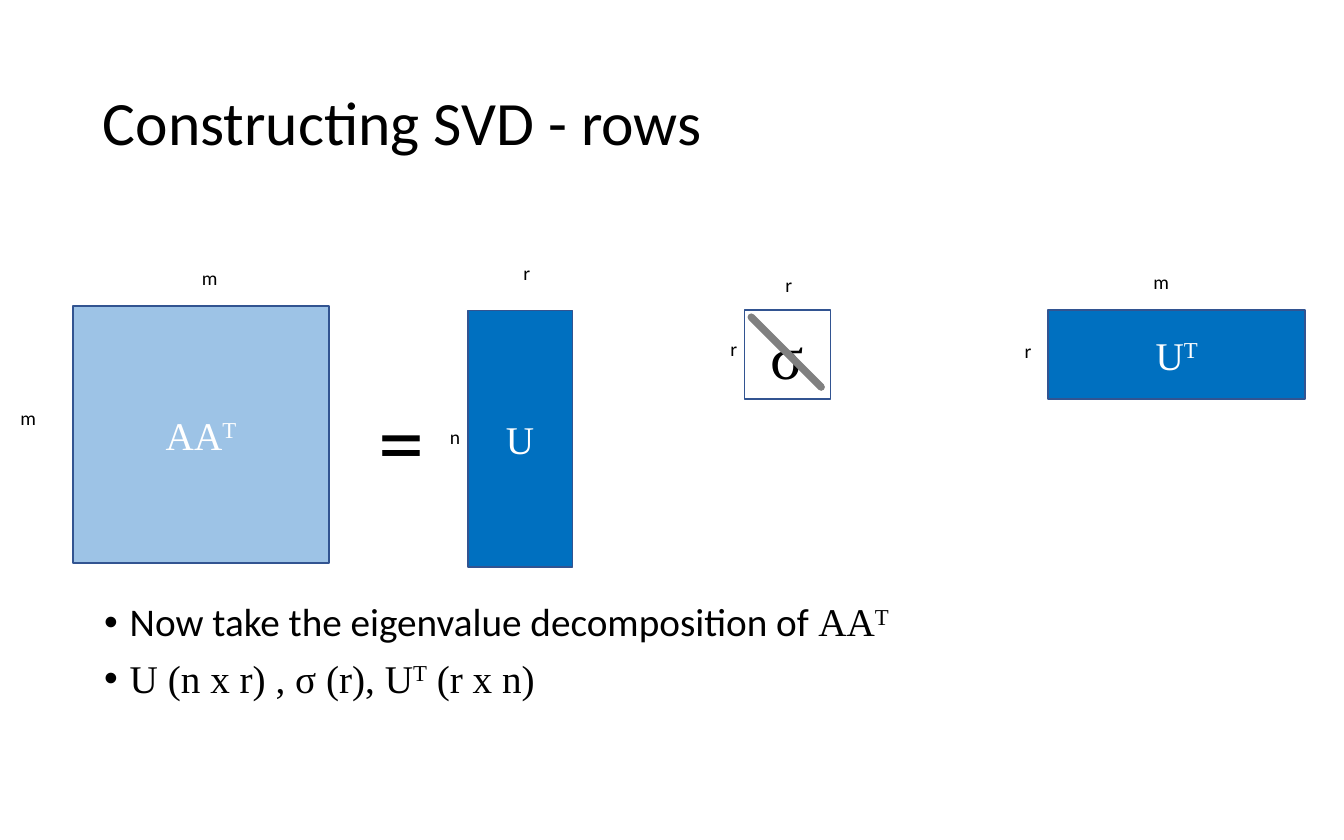
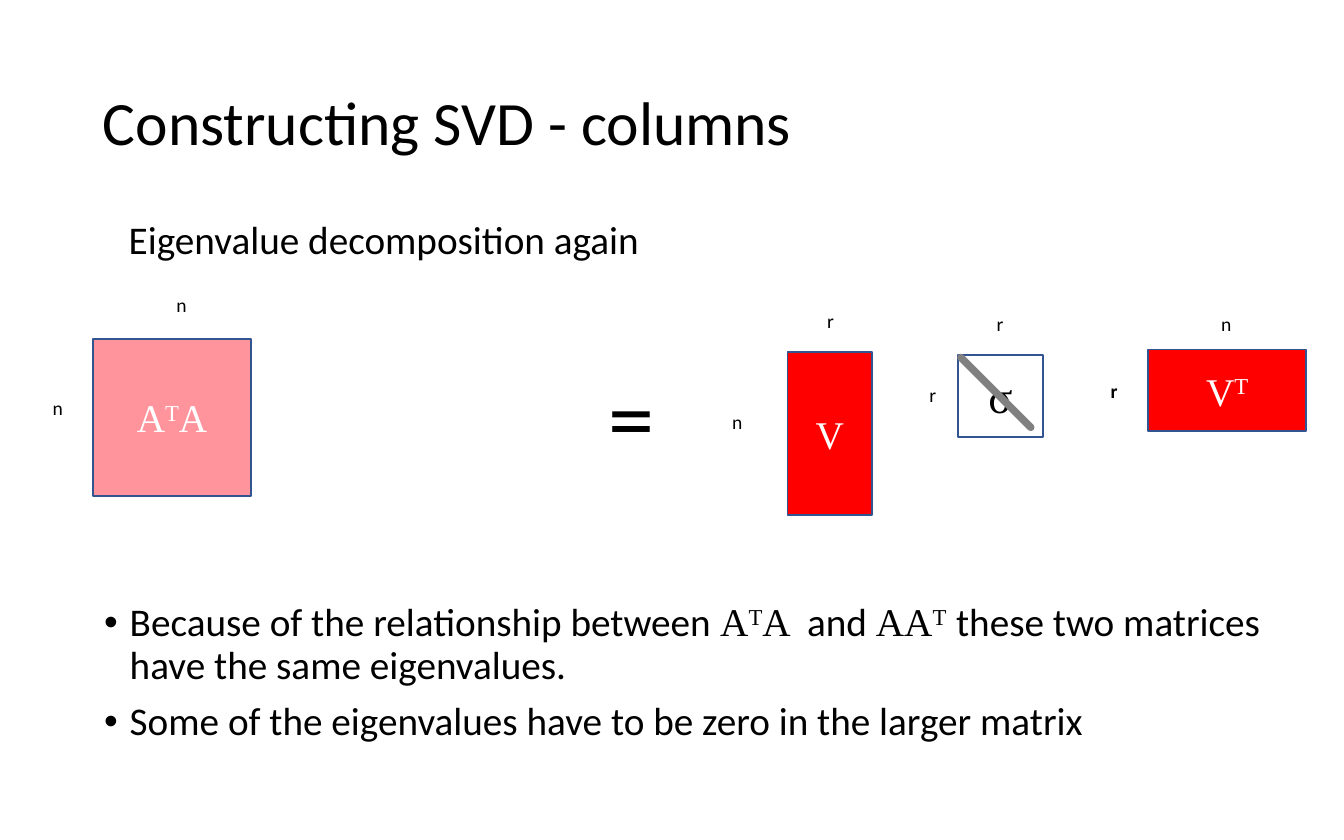
import pptx
import pptx.dml.color
import pptx.enum.shapes
import pptx.enum.text
import pptx.oxml
import pptx.oxml.ns
import pptx.util
from pptx.util import Inches

RGBColor = pptx.dml.color.RGBColor
BLACK = RGBColor(0x00, 0x00, 0x00)
WHITE = RGBColor(0xFF, 0xFF, 0xFF)
OUTLINE = RGBColor(0x32, 0x54, 0x91)
GRAY = RGBColor(0x80, 0x80, 0x80)
BLUE = RGBColor(0x00, 0x70, 0xC0)
LIGHT_BLUE = RGBColor(0x9D, 0xC3, 0xE6)
RED = RGBColor(0xFF, 0x00, 0x00)
PINK = RGBColor(0xFF, 0x94, 0x9C)
SANS = "Calibri"
SERIF = "Times New Roman"
ALIGN = pptx.enum.text.PP_ALIGN
ANCHOR = pptx.enum.text.MSO_ANCHOR


def add_span(para, text, font, size, color, bold, raised=False):
    """Append one formatted run, raised when it is a superscript."""
    if not text:
        return
    span = para.add_run()
    span.text = text
    span.font.name = font
    span.font.size = pptx.util.Pt(size)
    span.font.color.rgb = color
    span.font.bold = bold
    if raised:
        span.font._element.set("baseline", "30000")


def write(para, text, font=SANS, size=21, color=BLACK, bold=False, align=ALIGN.LEFT):
    """Write text where | switches to serif and back and ^ raises the next letter."""
    para.alignment = align
    for index, part in enumerate(text.split("|")):
        face = SERIF if index % 2 else font
        first, *raised_parts = part.split("^")
        add_span(para, first, face, size, color, bold)
        for raised in raised_parts:
            add_span(para, raised[0], face, size, color, bold, raised=True)
            add_span(para, raised[1:], face, size, color, bold)


def add_frame(page, left, top, width, height, inset=0.1, wrap=True):
    """Add an empty text box and return its text frame."""
    box = page.shapes.add_textbox(Inches(left), Inches(top), Inches(width), Inches(height))
    frame = box.text_frame
    frame.word_wrap = wrap
    frame.margin_left = frame.margin_right = Inches(inset)
    frame.margin_top = frame.margin_bottom = Inches(inset / 2)
    return frame


def add_title(page, text):
    """Add the slide title."""
    frame = add_frame(page, 0.69, 0.33, 8.62, 1.21, inset=0.075)
    frame.vertical_anchor = ANCHOR.MIDDLE
    para = frame.paragraphs[0]
    para.line_spacing = 0.9
    write(para, text, size=33)


def add_bullets(page, items, width):
    """Add the bulleted text below the matrices."""
    frame = add_frame(page, 0.7, 4.45, width, 1.35, inset=0.075)
    for index, item in enumerate(items):
        para = frame.add_paragraph() if index else frame.paragraphs[0]
        write(para, item)
        para.line_spacing = 0.9
        para.space_before = pptx.util.Pt(7.5)
        properties = para._p.get_or_add_pPr()
        properties.set("marL", str(Inches(0.19)))
        properties.set("indent", str(-Inches(0.19)))
        namespace = pptx.oxml.ns.nsdecls("a")
        for tag in ('buFont typeface="Arial"', 'buChar char="•"'):
            properties.append(pptx.oxml.parse_xml(f"<a:{tag.replace(' ', f' {namespace} ', 1)}/>"))


def add_text(page, text, left, top, width, height, **style):
    """Add a one-line text that does not wrap."""
    frame = add_frame(page, left, top, width, height, wrap=False)
    frame.auto_size = pptx.enum.text.MSO_AUTO_SIZE.SHAPE_TO_FIT_TEXT
    write(frame.paragraphs[0], text, **style)


def add_equals(page, left, top):
    """Add the large equals sign."""
    add_text(page, "=", left, top, 0.55, 0.93, size=49.5)


def add_dimension(page, text, left, top, width, bold=False):
    """Add a small centred label for a matrix dimension."""
    frame = add_frame(page, left, top, width, 0.28)
    write(frame.paragraphs[0], text, size=10.5, bold=bold, align=ALIGN.CENTER)


def add_matrix(page, text, left, top, width, height, fill, size=21, color=WHITE):
    """Add a rectangle that stands for a matrix."""
    matrix = page.shapes.add_shape(
        pptx.enum.shapes.MSO_SHAPE.RECTANGLE,
        Inches(left), Inches(top), Inches(width), Inches(height))
    matrix.shadow.inherit = False
    matrix.fill.solid()
    matrix.fill.fore_color.rgb = fill
    matrix.line.color.rgb = OUTLINE
    matrix.line.width = pptx.util.Pt(1)
    frame = matrix.text_frame
    frame.vertical_anchor = ANCHOR.MIDDLE
    write(frame.paragraphs[0], text, font=SERIF, size=size, color=color, align=ALIGN.CENTER)


def add_sigma(page, left, top, width, height, size, offset):
    """Add the diagonal matrix: a white square crossed by a thick line."""
    add_matrix(page, "σ", left, top, width, height, WHITE, size=size, color=BLACK)
    start_x, start_y = left + offset, top + offset
    diagonal = page.shapes.add_connector(
        pptx.enum.shapes.MSO_CONNECTOR.STRAIGHT,
        Inches(start_x), Inches(start_y), Inches(start_x + 0.52), Inches(start_y + 0.52))
    diagonal.line.color.rgb = GRAY
    diagonal.line.width = pptx.util.Pt(4)
    properties = diagonal._element.spPr
    properties.find(pptx.oxml.ns.qn("a:ln")).set("cap", "rnd")
    namespace = pptx.oxml.ns.nsdecls("a")
    properties.append(pptx.oxml.parse_xml(f"<a:effectLst {namespace}/>"))


def build_rows(deck):
    """Build the slide on the row decomposition."""
    page = deck.slides.add_slide(deck.slide_layouts[6])
    add_title(page, "Constructing SVD - rows")
    add_bullets(page, ["Now take the eigenvalue decomposition of |AA^T",
                       "|U (n x r) , σ (r), U^T (r x n)"], width=7.61)
    add_matrix(page, "AA^T", 0.54, 2.28, 1.91, 1.91, LIGHT_BLUE)
    add_matrix(page, "U^T", 7.8, 2.31, 1.91, 0.66, BLUE)
    add_matrix(page, "U", 3.48, 2.31, 0.78, 1.91, BLUE)
    add_sigma(page, 5.54, 2.31, 0.64, 0.66, size=33, offset=0.05)
    for text, left, top, width in [
            ("m", 0.05, 2.97, 0.32), ("m", 1.23, 1.93, 0.66), ("n", 3.2, 3.11, 0.37),
            ("r", 7.32, 2.47, 0.66), ("m", 8.31, 1.96, 0.66), ("r", 5.13, 2.46, 0.66),
            ("r", 5.54, 1.98, 0.66), ("r", 3.59, 1.89, 0.66)]:
        add_dimension(page, text, left, top, width)
    add_equals(page, 2.72, 2.8)


def build_columns(deck):
    """Build the slide on the column decomposition."""
    page = deck.slides.add_slide(deck.slide_layouts[6])
    add_title(page, "Constructing SVD - columns")
    add_bullets(page, [
        "Because of the relationship between |A^TA | and |AA^T |"
        "these two matrices have the same eigenvalues.",
        "Some of the eigenvalues have to be zero in the larger matrix"], width=9.02)
    add_text(page, "Eigenvalue decomposition again", 0.86, 1.55, 4.04, 0.45)
    add_matrix(page, "A^TA", 0.69, 2.52, 1.18, 1.17, PINK)
    add_matrix(page, "V", 5.86, 2.62, 0.63, 1.21, RED)
    add_matrix(page, "V^T", 8.54, 2.6, 1.18, 0.61, RED)
    add_sigma(page, 7.13, 2.64, 0.63, 0.61, size=24, offset=0.02)
    for text, left, top, width in [
            ("n", 1.21, 2.13, 0.28), ("n", 0.29, 2.9, 0.28), ("r", 6.03, 2.25, 0.3),
            ("n", 5.3, 3, 0.37), ("r", 7.29, 2.27, 0.3), ("r", 6.79, 2.8, 0.3),
            ("n", 8.94, 2.27, 0.37)]:
        add_dimension(page, text, left, top, width)
    add_dimension(page, "r", 8.14, 2.77, 0.3, bold=True)
    add_equals(page, 4.43, 2.62)


def main():
    """Build the two slides and save the deck."""
    deck = pptx.Presentation()
    deck.slide_width = Inches(10)
    deck.slide_height = Inches(6.25)
    build_rows(deck)
    build_columns(deck)
    deck.save("out.pptx")


if __name__ == "__main__":
    main()
